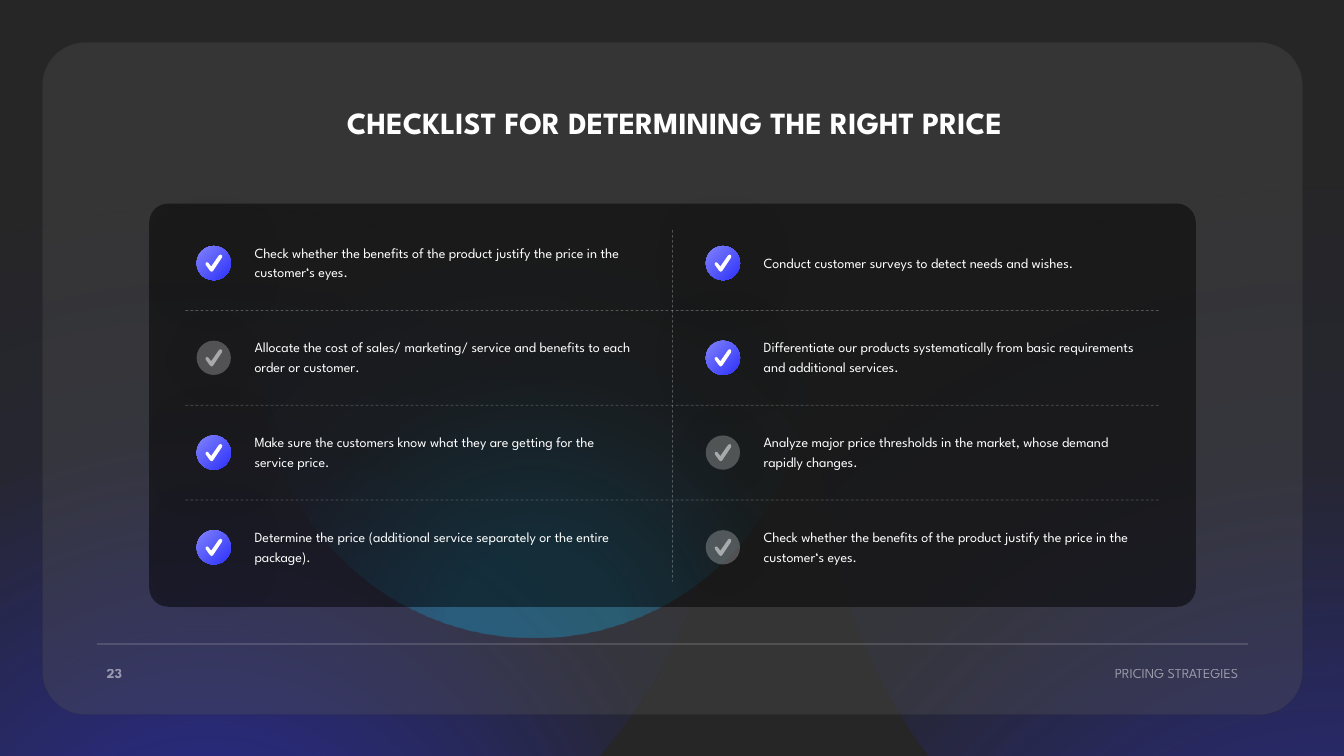
from lxml.etree import SubElement
from pptx import Presentation
from pptx.dml.color import RGBColor
from pptx.enum.dml import MSO_LINE
from pptx.enum.shapes import MSO_CONNECTOR, MSO_SHAPE
from pptx.enum.text import MSO_ANCHOR, MSO_AUTO_SIZE, PP_ALIGN
from pptx.oxml.ns import qn
from pptx.util import Inches, Pt

COLORS = {"background": "262626", "panel": "595959", "white": "FFFFFF", "black": "000000",
          "blue": "2D31FA", "light_blue": "8183FC", "cyan": "00B0F0"}
FONT = "League Spartan"
CHECKLIST = [
    [("Check whether the benefits of the product justify the price in the customer‘s eyes.", True),
     ("Conduct customer surveys to detect needs and wishes.", True)],
    [("Allocate the cost of sales/ marketing/ service and benefits to each order or customer.", False),
     ("Differentiate our products systematically from basic requirements and additional services.", True)],
    [("Make sure the customers know what they are getting for the service price.", True),
     ("Analyze major price thresholds in the market, whose demand rapidly changes.", False)],
    [("Determine the price (additional service separately or the entire package).", True),
     ("Check whether the benefits of the product justify the price in the customer‘s eyes.", False)],
]
CHECK_MARK = [(35, 100), (27, 94), (3, 60), (2, 51), (10, 45), (18, 49), (35, 70), (80, 5),
              (90, 0), (98, 6), (98, 17), (47, 94), (42, 99)]


def paint(fill, color, opacity=100):
    """Give a shape, line or font fill one colour with an opacity in percent."""
    fill.solid()
    fill.fore_color.rgb = RGBColor.from_string(COLORS[color])
    if opacity < 100:
        color_element = fill._xPr.find(qn("a:solidFill"))[0]
        SubElement(color_element, qn("a:alpha"), val=str(opacity * 1000))


def paint_gradient(shape, stops):
    """Fill a shape with (position, colour, opacity) stops and return the gradient element."""
    shape.fill.gradient()
    gradient = shape._element.spPr.find(qn("a:gradFill"))
    for child in list(gradient):
        gradient.remove(child)
    gradient.set("rotWithShape", "1")
    stop_list = SubElement(gradient, qn("a:gsLst"))
    for position, color, opacity in stops:
        stop = SubElement(stop_list, qn("a:gs"), pos=str(position * 1000))
        color_element = SubElement(stop, qn("a:srgbClr"), val=COLORS[color])
        SubElement(color_element, qn("a:alpha"), val=str(opacity * 1000))
    return gradient


def add_plain_shape(shapes, kind, left, top, width, height):
    """Add a preset shape without line or shadow."""
    shape = shapes.add_shape(kind, Inches(left), Inches(top), Inches(width), Inches(height))
    shape.line.fill.background()
    shape.shadow.inherit = False
    return shape


def add_rule(slide, start, end, opacity, dash=MSO_LINE.SOLID):
    """Draw a thin white line between two points."""
    rule = slide.shapes.add_connector(MSO_CONNECTOR.STRAIGHT, *map(Inches, start + end))
    paint(rule.line.fill, "white", opacity)
    rule.line.width = Pt(0.5)
    rule.line.dash_style = dash
    SubElement(rule._element.spPr, qn("a:effectLst"))


def write_text(shape, text, size, alignment=PP_ALIGN.LEFT, bold=False, opacity=100):
    """Put one formatted paragraph into a shape and return the paragraph."""
    shape.text_frame.text = text
    paragraph = shape.text_frame.paragraphs[0]
    paragraph.alignment = alignment
    font = paragraph.runs[0].font
    font.name, font.size, font.bold = FONT, Pt(size), bold
    paint(font.fill, "white", opacity)
    return paragraph


def add_glow(slide, left, top, size, color, rotation=0):
    """Add a round glow that fades away from its lower edge."""
    glow = add_plain_shape(slide.shapes, MSO_SHAPE.OVAL, left, top, size, size)
    glow.rotation = rotation
    gradient = paint_gradient(glow, [(23, color, 40), (68, color, 5), (100, color, 0)])
    circle = SubElement(gradient, qn("a:path"))
    circle.set("path", "circle")
    SubElement(circle, qn("a:fillToRect"), l="50000", t="130000", r="50000", b="-30000")


def add_backdrop(slide):
    """Draw the dark background, the glows and the translucent panel."""
    paint(slide.background.fill, "background")
    add_glow(slide, -3.13, -1.08, 10.35, "blue")
    add_glow(slide, 2.58, 0.89, 5.43, "cyan")
    add_glow(slide, 8.16, -0.8, 10.34, "blue", 195)
    panel = add_plain_shape(slide.shapes, MSO_SHAPE.ROUNDED_RECTANGLE, 0.42, 0.42, 12.5, 6.67)
    panel.adjustments[0] = 0.064
    paint(panel.fill, "panel", 30)
    paint(panel.line.fill, "background", 10)
    panel.line.width = Pt(1)


def add_title(slide, left, top, width, height):
    """Move the title placeholder above the backdrop and format it."""
    title = slide.shapes.title
    title.element.getparent().append(title.element)
    title.left, title.top, title.width, title.height = map(Inches, (left, top, width, height))
    write_text(title, "CHECKLIST FOR DETERMINING THE RIGHT PRICE", 22, PP_ALIGN.CENTER, True)
    title.text_frame.vertical_anchor = MSO_ANCHOR.TOP
    title.text_frame.auto_size = MSO_AUTO_SIZE.SHAPE_TO_FIT_TEXT


def add_footer(slide, left, top, width):
    """Draw the footer rule with the page number and the section name."""
    add_rule(slide, (left, top), (left + width, top), 40)
    labels = [("23", left, 0.35, PP_ALIGN.LEFT, True),
              ("PRICING STRATEGIES", left + width - 1.57, 1.57, PP_ALIGN.RIGHT, False)]
    for text, label_left, label_width, alignment, bold in labels:
        label = slide.shapes.add_textbox(Inches(label_left), Inches(top + 0.15),
                                         Inches(label_width), Inches(0.27))
        write_text(label, text, 10, alignment, bold, 50)
        label.text_frame.word_wrap = False
        label.text_frame.vertical_anchor = MSO_ANCHOR.MIDDLE


def add_check_icon(slide, left, top, done):
    """Draw a round check icon, blue when done and grey otherwise."""
    icon = slide.shapes.add_group_shape()
    disc = add_plain_shape(icon.shapes, MSO_SHAPE.OVAL, left, top, 0.34, 0.34)
    if done:
        gradient = paint_gradient(disc, [(0, "light_blue", 100), (100, "blue", 100)])
        SubElement(gradient, qn("a:lin"), ang="2700000", scaled="0")
    else:
        paint(disc.fill, "white", 25)
    effects = disc._element.spPr.find(qn("a:effectLst"))
    shadow = SubElement(effects, qn("a:outerShdw"), blurRad=str(Pt(50)), dist="0", dir="0")
    shadow_color = SubElement(shadow, qn("a:srgbClr"), val=COLORS["black"])
    SubElement(shadow_color, qn("a:alpha"), val="20000")

    builder = icon.shapes.build_freeform(*CHECK_MARK[0], scale=Inches(0.17) / 100)
    builder.add_line_segments(CHECK_MARK[1:], close=True)
    mark = builder.convert_to_shape(Inches(left + 0.085), Inches(top + 0.085))
    paint(mark.fill, "white", 100 if done else 50)
    mark.line.fill.background()
    mark.shadow.inherit = False


def add_check_item(slide, left, top, text, done):
    """Add one checklist entry with its icon."""
    item = add_plain_shape(slide.shapes, MSO_SHAPE.ROUNDED_RECTANGLE, left, top, 4.74, 0.67)
    item.adjustments[0] = 0.28
    item.fill.background()
    write_text(item, text, 10).line_spacing = Pt(14)
    frame = item.text_frame
    frame.word_wrap = True
    frame.vertical_anchor = MSO_ANCHOR.MIDDLE
    frame.margin_left, frame.margin_right = Inches(0.7), Inches(0.2)
    frame.margin_top, frame.margin_bottom = 0, Inches(0.05)
    add_check_icon(slide, left + 0.18, top + 0.16, done)


def add_checklist(slide, left, top, width, height):
    """Draw the dark card with two columns of entries and dashed dividers."""
    card = add_plain_shape(slide.shapes, MSO_SHAPE.ROUNDED_RECTANGLE, left, top, width, height)
    card.adjustments[0] = 0.047
    paint(card.fill, "black", 50)
    row_step, column_step = 0.94, 5.05
    for row, entries in enumerate(CHECKLIST):
        for column, (text, done) in enumerate(entries):
            add_check_item(slide, left + 0.29 + column * column_step,
                           top + 0.26 + row * row_step, text, done)
    for row in range(len(CHECKLIST) - 1):
        y = top + 1.06 + row * row_step
        add_rule(slide, (left + 0.36, y), (left + width - 0.36, y), 25, MSO_LINE.DASH)
    middle = left + width / 2
    add_rule(slide, (middle, top + 0.26), (middle, top + height - 0.25), 25, MSO_LINE.DASH)


def main():
    """Build and save the presentation."""
    presentation = Presentation()
    presentation.slide_width, presentation.slide_height = Inches(13.33), Inches(7.5)
    slide = presentation.slides.add_slide(presentation.slide_layouts[5])
    add_backdrop(slide)
    add_title(slide, 1.84, 0.98, 9.7, 0.47)
    add_footer(slide, 0.96, 6.39, 11.42)
    add_checklist(slide, 1.48, 2.02, 10.38, 4)
    presentation.save("out.pptx")


if __name__ == "__main__":
    main()
